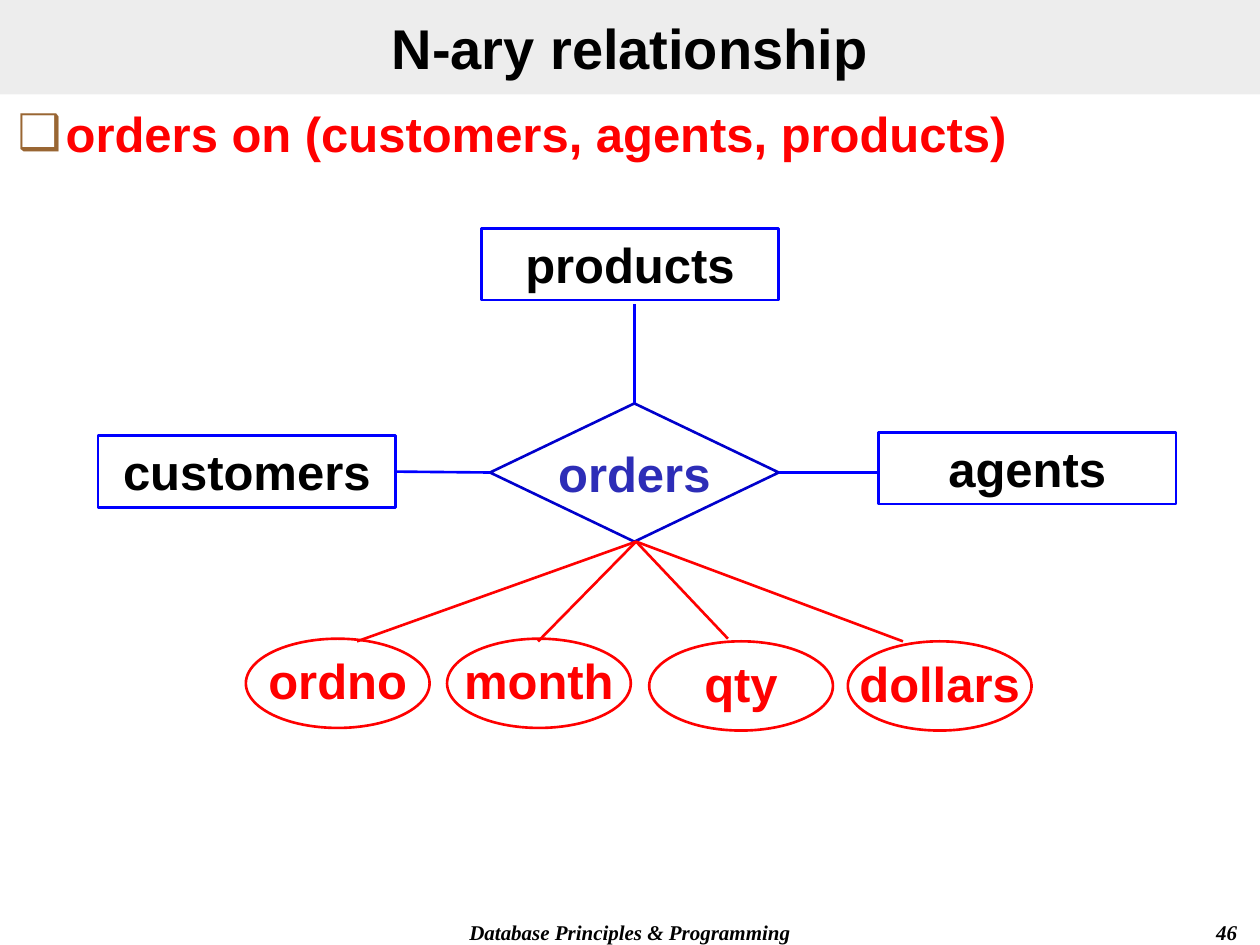
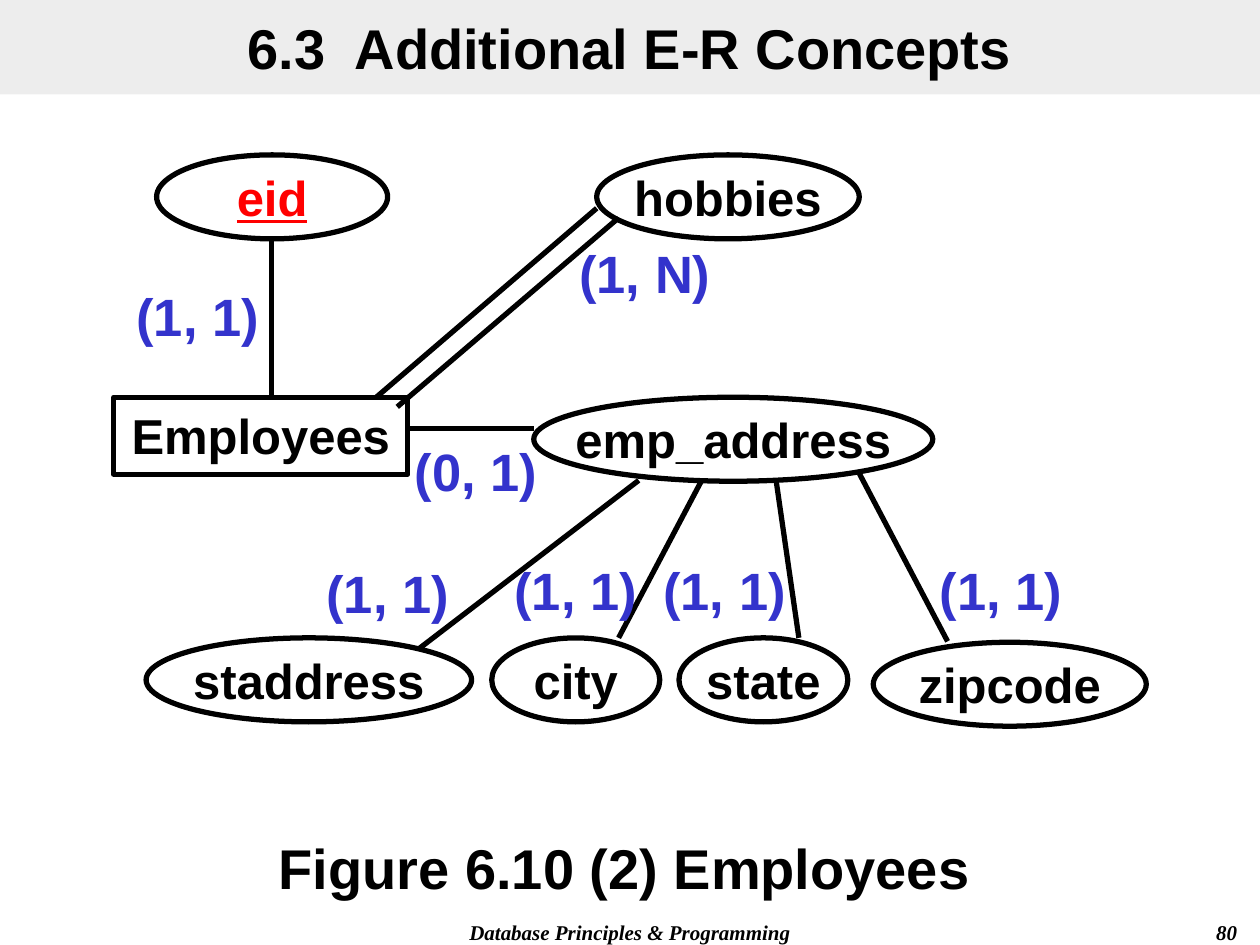
from lxml.etree import SubElement
from pptx import Presentation
from pptx.dml.color import RGBColor
from pptx.enum.shapes import MSO_CONNECTOR, MSO_SHAPE as Preset
from pptx.enum.text import MSO_ANCHOR as Anchor, PP_ALIGN as Align
from pptx.oxml.ns import qn
from pptx.util import Pt

SANS, SERIF = "Arial", "Times New Roman"
BLACK, WHITE, RED, BLUE = "000000", "FFFFFF", "FF0000", "0000FF"
DIAMOND_LINE, DIAMOND_TEXT = "0000CC", "2D2DB7"
BAND, BULLET, CARDINALITY = "DDDDDD", "996633", "3333CC"
TOP, LEFT, RIGHT = 0, 1, 3
FOOTER = "Database Principles & Programming"


def color(value):
    return RGBColor.from_string(value)


def write(box, text, size, ink, align=Align.CENTER, anchor=Anchor.TOP,
          font=SANS, italic=False, underline=False, wrap=True):
    """Put one bold run in the box and return its paragraph."""
    frame = box.text_frame
    frame.word_wrap = wrap
    frame.vertical_anchor = anchor
    para = frame.paragraphs[0]
    para.alignment = align
    span = para.add_run()
    span.text = text
    span.font.name = font
    span.font.size = Pt(size)
    span.font.bold = True
    span.font.italic = italic
    span.font.underline = underline
    span.font.color.rgb = color(ink)
    return para


def add_text(page, place, text, size, ink, **style):
    box = page.shapes.add_textbox(*map(Pt, place))
    return write(box, text, size, ink, **style)


def add_node(page, preset, place, text, line, width, ink=BLACK, fill=None, **style):
    """Draw an outlined shape with a centred 28 pt label."""
    node = page.shapes.add_shape(preset, *map(Pt, place))
    node.shadow.inherit = False
    if fill:
        node.fill.solid()
        node.fill.fore_color.rgb = color(fill)
    else:
        node.fill.background()
    node.line.color.rgb = color(line)
    node.line.width = Pt(width)
    write(node, text, 28, ink, **style)
    return node


def add_ellipse(page, place, text, line, width, **style):
    return add_node(page, Preset.OVAL, place, text, line, width,
                    anchor=Anchor.MIDDLE, wrap=False, **style)


def add_line(page, ends, ink, width):
    link = page.shapes.add_connector(MSO_CONNECTOR.STRAIGHT, *map(Pt, ends))
    link.line.color.rgb = color(ink)
    link.line.width = Pt(width)
    SubElement(link._element.spPr, qn("a:effectLst"))
    return link


def add_bullet(para, indent):
    properties = para._p.get_or_add_pPr()
    properties.set("marL", str(Pt(indent)))
    properties.set("indent", str(-Pt(indent)))
    tint = SubElement(properties, qn("a:buClr"))
    SubElement(tint, qn("a:srgbClr"), val=BULLET)
    SubElement(properties, qn("a:buFont"), typeface=SANS)
    SubElement(properties, qn("a:buChar"), char="❑")


def add_page(deck, title, number):
    """Add a blank page with the title band and both footers."""
    page = deck.slides.add_slide(deck.slide_layouts[6])
    footer = dict(font=SERIF, italic=True)
    add_text(page, (204, 522, 312, 18), FOOTER, 12, BLACK, **footer)
    add_text(page, (564, 522, 150, 18), number, 12, BLACK, align=Align.RIGHT, **footer)
    band = page.shapes.add_shape(Preset.RECTANGLE, 0, 0, deck.slide_width, Pt(54))
    band.shadow.inherit = False
    band.line.fill.background()
    band.fill.solid()
    band.fill.fore_color.rgb = color(BAND)
    tint = band._element.spPr.find(qn("a:solidFill"))[0]
    SubElement(tint, qn("a:alpha"), val="50000")
    write(band, title, 32, BLACK, anchor=Anchor.MIDDLE)
    return page


def add_orders_page(deck):
    page = add_page(deck, "N-ary relationship", "46")
    heading = add_text(page, (3, 55.5, 714, 41),
                       "orders on (customers, agents, products)", 28, RED, align=Align.LEFT)
    add_bullet(heading, 27.5)

    customers, agents, products = [
        add_node(page, Preset.RECTANGLE, (left, top, 170, 41), name, BLUE, 1.5)
        for name, left, top in (("customers", 56, 249), ("agents", 502, 247),
                                ("products", 275, 130.5))]
    orders = add_node(page, Preset.DIAMOND, (280, 230.5, 165, 79), "orders", DIAMOND_LINE,
                      1.5, DIAMOND_TEXT, WHITE, anchor=Anchor.MIDDLE, wrap=False)
    for side, ends in ((LEFT, (280, 270, 226, 269.5)), (RIGHT, (445, 270, 502, 270)),
                       (TOP, (362.5, 230.5, 362.5, 173.5))):
        link = add_line(page, ends, BLUE, 1.5)
        link.begin_connect(orders, side)
        if side == LEFT:
            link.end_connect(customers, RIGHT)

    attributes = (("qty", 371, 366.5, 416, 365), ("dollars", 484.5, 366.5, 516, 366.5),
                  ("ordno", 140.5, 365, 204, 366.5), ("month", 255.5, 365, 307.5, 366.5))
    for name, left, top, line_x, line_y in attributes:
        oval = add_ellipse(page, (left, top, 105, 51), name, RED, 1.5, ink=RED, fill=WHITE)
        oval.text_frame.margin_top = 0
        add_line(page, (line_x, line_y, 363.5, 309.5), RED, 1.5)


def add_employees_page(deck):
    page = add_page(deck, "6.3  Additional E-R Concepts", "80")
    employees = add_node(page, Preset.RECTANGLE, (65, 227, 168, 44), "Employees", BLACK, 3)
    employees.text_frame.margin_top = Pt(5)

    add_ellipse(page, (89.5, 88.5, 132, 48), "eid", BLACK, 3, ink=RED, underline=True)
    attributes = (("emp_address", 305, 227, 228), ("hobbies", 341, 88.5, 150),
                  ("staddress", 83.5, 364.5, 186), ("city", 281, 364.5, 96),
                  ("state", 388, 364.5, 96.5), ("zipcode", 499, 367, 156))
    for name, left, top, width in attributes:
        add_ellipse(page, (left, top, width, 48), name, BLACK, 3)

    for ends in ((155, 136.5, 155, 227), (305, 245, 233, 245),
                 (341, 119, 215, 227), (353.5, 124.5, 227, 232.5),
                 (365, 274.5, 239, 371), (401, 274.5, 353.5, 364.5),
                 (443.5, 274.5, 456.5, 364.5), (491, 270.5, 541.5, 366.5)):
        add_line(page, ends, BLACK, 3)

    add_text(page, (48, 473, 618, 46), "Figure 6.10 (2) Employees", 32, BLACK)
    cardinalities = (("(1, 1)", 65, 158.5), ("(0, 1)", 224, 247.5), ("(1, N)", 320.5, 134),
                     ("(1, 1)", 173.5, 317), ("(1, 1)", 281, 315.5),
                     ("(1, 1)", 366, 315.5), ("(1, 1)", 524, 315.5))
    for text, left, top in cardinalities:
        add_text(page, (left, top, 96, 44), text, 30, CARDINALITY)


def main():
    deck = Presentation()
    deck.slide_width, deck.slide_height = Pt(720), Pt(540)
    add_orders_page(deck)
    add_employees_page(deck)
    deck.save("out.pptx")


if __name__ == "__main__":
    main()
